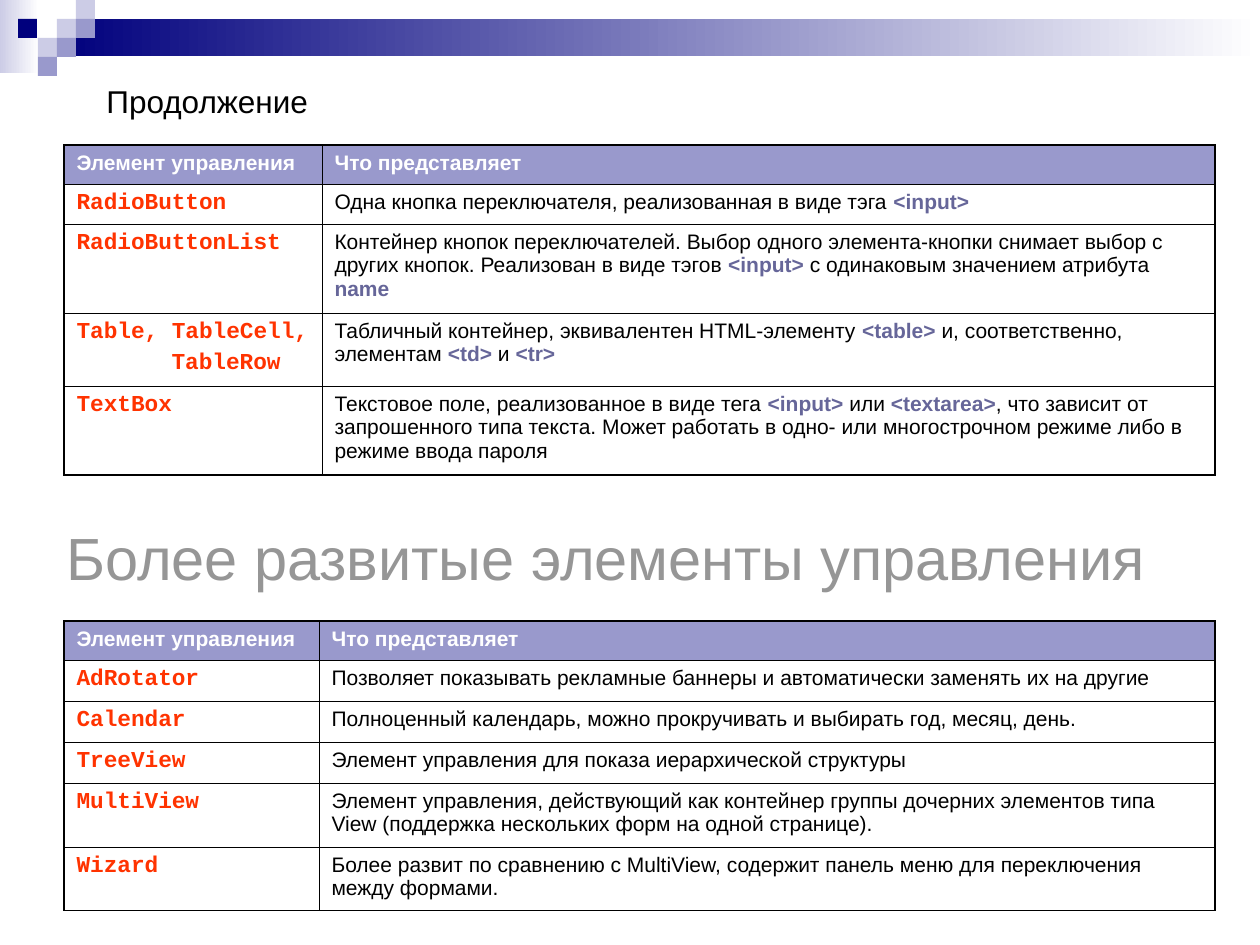
"""Build a slide with two tables of web controls under a checkered gradient banner."""
from lxml import etree
from pptx import Presentation
from pptx.dml.color import RGBColor
from pptx.enum.shapes import MSO_SHAPE
from pptx.enum.text import MSO_ANCHOR
from pptx.oxml.ns import qn
from pptx.util import Pt

RECT = MSO_SHAPE.RECTANGLE
TOP, MIDDLE = MSO_ANCHOR.TOP, MSO_ANCHOR.MIDDLE
PX = 914400 // 126
THEME = {
    "navy": "00007D", "lilac": "9999CC", "pale": "CCCCE6", "white": "FFFFFF",
    "black": "000000", "gray": "969696", "name": "FF3300", "tag": "666699",
    "font": "Arial", "mono": "Courier New",
    "title": 34, "subtitle": 18, "body": 12, "code": 13,
    "thin": 0.45, "thick": 1.08,
}


def style(font, face, size, color, bold=False):
    font.name, font.size, font.bold = THEME[face], Pt(THEME[size]), bold
    font.color.rgb = RGBColor.from_string(THEME[color])


def border(cell, side, weight):
    ln = etree.SubElement(cell._tc.get_or_add_tcPr(), qn(f"a:ln{side}"), w=str(Pt(THEME[weight])))
    fill = etree.SubElement(ln, qn("a:solidFill"))
    etree.SubElement(fill, qn("a:srgbClr"), val=THEME["black"])


prs = Presentation()
prs.slide_width, prs.slide_height = 1260 * PX, 945 * PX
s = prs.slides.add_slide(prs.slide_layouts[6])

banner = [
    (0, 0, 39, 73, ("pale", "white")),
    (57, 19, 1203, 37, ("navy", "white")),
    (57, 19, 19, 19, ("pale",)),
    (76, 0, 19, 19, ("pale",)),
    (76, 19, 19, 19, ("lilac",)),
    (38, 38, 19, 19, ("pale",)),
    (18, 19, 19, 19, ("navy",)),
    (57, 38, 19, 19, ("lilac",)),
    (38, 57, 19, 19, ("lilac",)),
]
for x, y, w, h, colors in banner:
    sp = s.shapes.add_shape(RECT, x * PX, y * PX, w * PX, h * PX)
    sp.shadow.inherit = False
    sp.line.fill.background()
    if len(colors) == 2:
        sp.fill.gradient()
        sp.fill.gradient_angle = 0
        for stop, color in zip(sp.fill.gradient_stops, colors):
            stop.color.rgb = RGBColor.from_string(THEME[color])
    else:
        sp.fill.solid()
        sp.fill.fore_color.rgb = RGBColor.from_string(THEME[colors[0]])

headings = [
    ("Продолжение", 94, 76, 436, 50, "subtitle", "black", TOP, 11.2),
    ("Более развитые элементы управления", 54, 522, 1134, 69, "title", "gray", MIDDLE, 0),
]
for text, x, y, w, h, size, color, anchor, before in headings:
    tf = s.shapes.add_textbox(x * PX, y * PX, w * PX, h * PX).text_frame
    tf.word_wrap, tf.vertical_anchor = True, anchor
    p = tf.paragraphs[0]
    p.text, p.space_before = text, Pt(before)
    style(p.font, "font", size, color)

header = ("Элемент управления", "Что представляет")
basic_controls = [
    header,
    ("RadioButton", "Одна кнопка переключателя, реализованная в виде тэга *<input>*"),
    ("RadioButtonList",
     "Контейнер кнопок переключателей. Выбор одного элемента-кнопки снимает выбор с других кнопок. "
     "Реализован в виде тэгов *<input> *с одинаковым значением атрибута *name*"),
    ("Table, TableCell,\nTableRow",
     "Табличный контейнер, эквивалентен HTML-элементу *<table> *и, соответственно, "
     "элементам *<td> *и *<tr>*"),
    ("TextBox",
     "Текстовое поле, реализованное в виде тега *<input>* или *<textarea>*, что зависит от "
     "запрошенного типа текста. Может работать в одно- или многострочном режиме либо "
     "в режиме ввода пароля"),
]
rich_controls = [
    header,
    ("AdRotator", "Позволяет показывать рекламные баннеры и автоматически заменять их на другие"),
    ("Calendar", "Полноценный календарь, можно прокручивать и выбирать год, месяц, день."),
    ("TreeView", "Элемент управления для показа иерархической структуры"),
    ("MultiView",
     "Элемент управления, действующий как контейнер группы дочерних элементов типа View "
     "(поддержка нескольких форм на одной странице)."),
    ("Wizard",
     "Более развит по сравнению с MultiView, содержит панель меню для переключения между формами."),
]
tables = [
    (145, (258, 893), (39, 40, 89, 73, 89), basic_controls, "thick"),
    (621, (255, 896), (39, 41, 41, 41, 64, 63), rich_controls, "thin"),
]
for top, widths, heights, rows, bottom in tables:
    frame = s.shapes.add_table(len(rows), 2, 64 * PX, top * PX, sum(widths) * PX, sum(heights) * PX)
    table = frame.table
    table.first_row = table.horz_banding = False
    for column, width in zip(table.columns, widths):
        column.width = width * PX
    for i, (height, row) in enumerate(zip(heights, rows)):
        table.rows[i].height = height * PX
        for j, text in enumerate(row):
            cell = table.cell(i, j)
            border(cell, "L", "thin" if j else "thick")
            border(cell, "R", "thick" if j else "thin")
            border(cell, "T", "thin" if i else "thick")
            border(cell, "B", bottom if i == len(rows) - 1 else "thin")
            if i == 0:
                cell.fill.solid()
                cell.fill.fore_color.rgb = RGBColor.from_string(THEME["lilac"])
            else:
                cell.fill.background()
            tf = cell.text_frame
            for n, line in enumerate(text.split("\n")):
                p = tf.add_paragraph() if n else tf.paragraphs[0]
                is_name = i > 0 and j == 0
                p.space_before = Pt(3.3 if is_name else 3)
                if n:
                    p._p.get_or_add_pPr().set("marL", str(95 * PX))
                for k, part in enumerate(line.split("*")):
                    if not part:
                        continue
                    r = p.add_run()
                    r.text = part
                    if i == 0:
                        style(r.font, "font", "body", "white", True)
                    elif is_name:
                        style(r.font, "mono", "code", "name", True)
                    else:
                        style(r.font, "font", "body", "tag" if k % 2 else "black", k % 2 == 1)

prs.save("out.pptx")
